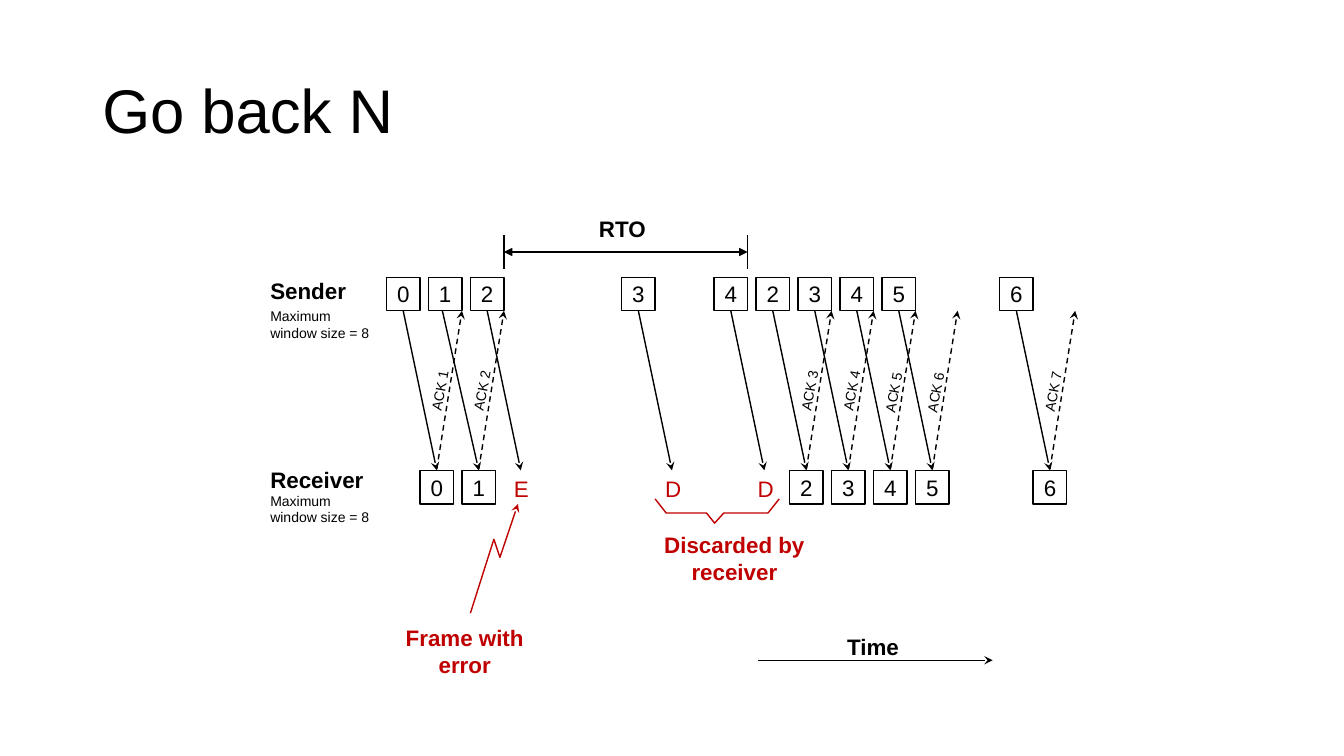
"""Build the Go back N timing diagram slide."""
from pptx import Presentation
from pptx.dml.color import RGBColor
from pptx.enum.dml import MSO_LINE
from pptx.enum.shapes import MSO_CONNECTOR, MSO_SHAPE
from pptx.enum.text import MSO_ANCHOR, PP_ALIGN
from pptx.oxml.ns import qn
from pptx.util import Pt
from lxml import etree

DASH = MSO_LINE.DASH
RECT = MSO_SHAPE.RECTANGLE
STRAIGHT = MSO_CONNECTOR.STRAIGHT
MIDDLE = MSO_ANCHOR.MIDDLE
LEFT, CENTER = PP_ALIGN.LEFT, PP_ALIGN.CENTER
COLORS = {"black": "000000", "white": "FFFFFF", "red": "C00000"}
RGB = {name: RGBColor.from_string(code) for name, code in COLORS.items()}
SIDE, SEND, RECV = 24, 198, 336
LOW = SEND + SIDE

deck = Presentation()
deck.slide_width, deck.slide_height = Pt(960), Pt(540)
slide = deck.slides.add_slide(deck.slide_layouts[6])
shapes = slide.shapes


def write(shape, text, size=16, color="black", bold=False, align=LEFT):
    frame = shape.text_frame
    frame.word_wrap = False
    frame.text = text
    for para in frame.paragraphs:
        para.alignment = align
        para.font.name, para.font.size = "Arial", Pt(size)
        para.font.bold = bold
        para.font.color.rgb = RGB[color]
    return frame


def stroke(shape, color="black", head=None, tail=None, dash=None):
    shape.line.color.rgb = RGB[color]
    shape.line.width = Pt(1)
    if dash:
        shape.line.dash_style = dash
    props = shape._element.spPr
    for tag, kind in (("a:headEnd", head), ("a:tailEnd", tail)):
        if kind:
            etree.SubElement(props.find(qn("a:ln")), qn(tag), type=kind)
    if props.find(qn("a:effectLst")) is None:
        etree.SubElement(props, qn("a:effectLst"))


title = write(shapes.add_textbox(Pt(66), Pt(28.8), Pt(828), Pt(104.4)), "Go back N", 44)
title.vertical_anchor = MIDDLE
title.paragraphs[0].line_spacing = 0.9

labels = [
    ("RTO", 420.5, 149.8, 48, 26.6, 16, "black", True, CENTER),
    ("Time", 597.6, 448.6, 52, 26.6, 16, "black", True, CENTER),
    ("Sender", 186, 194.4, 68.4, 26.6, 16, "black", True, LEFT),
    ("Receiver", 186, 329.3, 81.4, 26.6, 16, "black", True, LEFT),
    ("Discarded by\nreceiver", 466.6, 375.8, 116, 46, 16, "red", True, CENTER),
    ("Frame with\nerror", 282.2, 442, 99.4, 46, 16, "red", True, CENTER),
]
for top in (216, 348):
    labels.append(("Maximum\nwindow size = 8", 186, top, 85, 31, 10, "black", False, LEFT))

frames = [
    (276, "0", "0", 278.3), (306, "1", "1", 278.3), (336, "2", "E", None),
    (444, "3", "D", None), (510, "4", "D", None), (540, "2", "2", 278.3),
    (570, "3", "3", 278.3), (600, "4", "4", 279.7), (630, "5", "5", 279.7),
    (714, "6", "6", 279),
]
lines = []
for x, sent, got, mid in frames:
    boxes = [(x, SEND, sent)]
    start = x + 12 if x != 306 else 316
    lines.append((start, LOW, x + 36, RECV, None, "stealth", None))
    if mid:
        boxes.append((x + SIDE, RECV, got))
        lines.append((x + 36, RECV - 1, x + 54, LOW, None, "stealth", DASH))
        tag = shapes.add_textbox(Pt(x + 16.3), Pt(mid - 9.7), Pt(44), Pt(19.4))
        tag.rotation = 280.6
        write(tag, f"ACK {int(got) + 1}", 10)
    else:
        labels.append((got, x + SIDE, RECV, 25.6, 26.6, 16, "red", False, LEFT))
    for left, top, digit in boxes:
        box = shapes.add_shape(RECT, Pt(left), Pt(top), Pt(SIDE), Pt(SIDE))
        box.shadow.inherit = False
        box.fill.solid()
        box.fill.fore_color.rgb = RGB["white"]
        stroke(box)
        write(box, digit, align=CENTER).vertical_anchor = MIDDLE

lines += [
    (360, 180, 534, 180, "triangle", "triangle", None),
    (360, 168, 360, 192, None, None, None),
    (534, 168, 534, 192, None, None, None),
    (541.4, 471.6, 709, 471.6, None, "stealth", None),
]
for x1, y1, x2, y2, head, tail, dash in lines:
    line = shapes.add_connector(STRAIGHT, Pt(x1), Pt(y1), Pt(x2), Pt(y2))
    stroke(line, "black", head, tail, dash)

for text, x, y, wide, high, *style in labels:
    write(shapes.add_textbox(Pt(x), Pt(y), Pt(wide), Pt(high)), text, *style)

brace = [(468, 356.4), (475.9, 366.5), (504.7, 366.5), (510.5, 373.7),
         (517, 366.5), (548.6, 366.5), (556.6, 356.4)]
bolt = [(336, 438), (352.8, 385.2), (357.1, 398.2), (370, 360)]
for points, tail in ((brace, None), (bolt, "stealth")):
    spots = [(Pt(x), Pt(y)) for x, y in points]
    pen = shapes.build_freeform(*spots[0])
    pen.add_line_segments(spots[1:], close=False)
    path = pen.convert_to_shape()
    path.fill.background()
    path.shadow.inherit = False
    stroke(path, "red", tail=tail)

deck.save("out.pptx")
